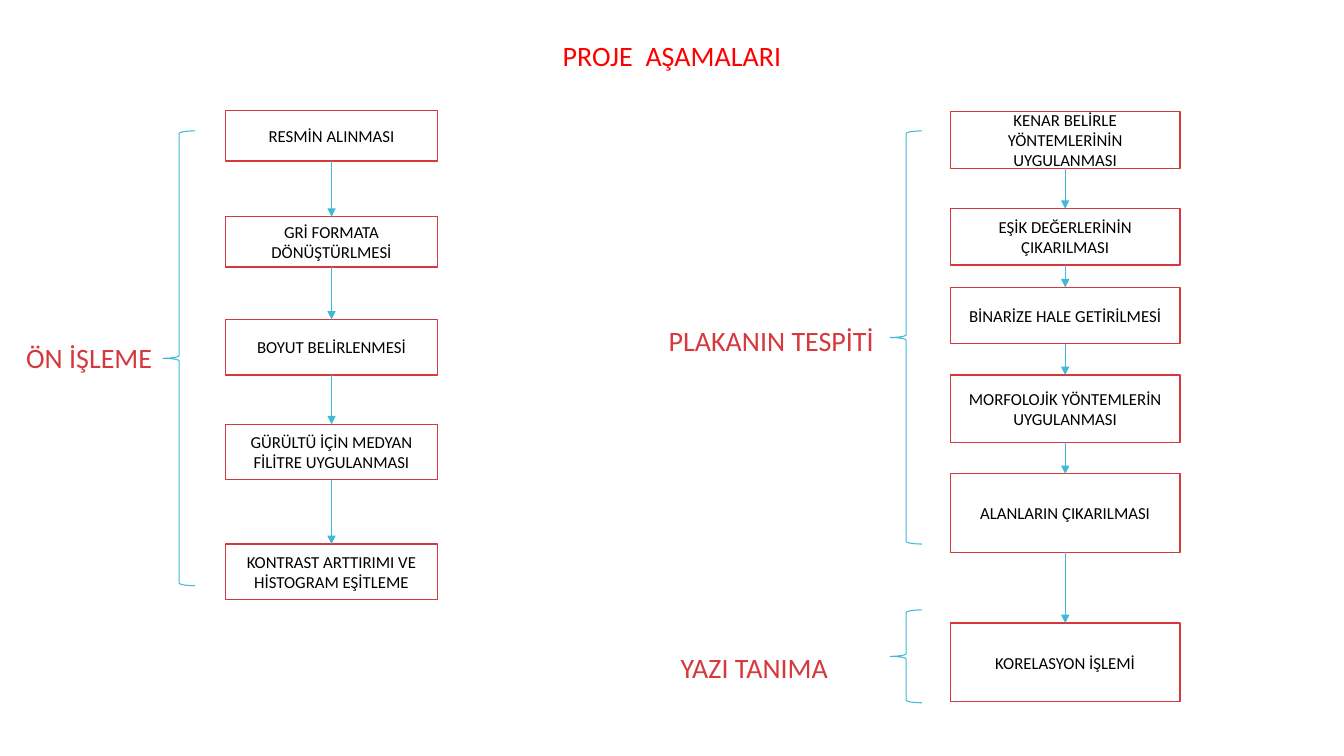
from dataclasses import dataclass
from itertools import pairwise

from lxml.etree import SubElement
from pptx import Presentation
from pptx.dml.color import RGBColor
from pptx.enum.shapes import MSO_CONNECTOR, MSO_SHAPE
from pptx.enum.text import MSO_ANCHOR, MSO_AUTO_SIZE, PP_ALIGN
from pptx.oxml.ns import qn
from pptx.util import Cm, Pt


@dataclass(frozen=True)
class Theme:
    font: str = "Calibri"
    heading_size: int = 20
    step_size: int = 12
    title: RGBColor = RGBColor(0xFF, 0x00, 0x00)
    accent: RGBColor = RGBColor(0xD5, 0x39, 0x3D)
    arrow: RGBColor = RGBColor(0x40, 0xBA, 0xD2)
    text: RGBColor = RGBColor(0x00, 0x00, 0x00)
    paper: RGBColor = RGBColor(0xFF, 0xFF, 0xFF)


THEME = Theme()
SLIDE_WIDTH, SLIDE_HEIGHT = 33.87, 19.05
HEADING_HEIGHT = 1.12
BRACE_WIDTH = 0.81

# Each step: text, distance below the top of its column, height (cm)
PREPROCESSING_STEPS = [
    ("RESMİN ALINMASI", 0, 1.27),
    ("GRİ FORMATA DÖNÜŞTÜRLMESİ", 2.67, 1.27),
    ("BOYUT BELİRLENMESİ", 5.26, 1.4),
    ("GÜRÜLTÜ İÇİN MEDYAN FİLİTRE UYGULANMASI", 7.9, 1.4),
    ("KONTRAST ARTTIRIMI VE HİSTOGRAM EŞİTLEME", 10.92, 1.4),
]
RECOGNITION_STEPS = [
    ("KENAR BELİRLE YÖNTEMLERİNİN UYGULANMASI", 0, 1.42),
    ("EŞİK DEĞERLERİNİN ÇIKARILMASI", 2.44, 1.42),
    ("BİNARİZE HALE GETİRİLMESİ", 4.42, 1.42),
    ("MORFOLOJİK YÖNTEMLERİN UYGULANMASI", 6.63, 1.7),
    ("ALANLARIN ÇIKARILMASI", 9.12, 1.98),
    ("KORELASYON İŞLEMİ", 12.88, 1.98),
]


def write(shape, text, *, size, color, anchor=MSO_ANCHOR.MIDDLE, side_margin=0.25):
    frame = shape.text_frame
    frame.word_wrap = True
    frame.auto_size = MSO_AUTO_SIZE.NONE
    frame.vertical_anchor = anchor
    frame.margin_left = frame.margin_right = Cm(side_margin)
    paragraph = frame.paragraphs[0]
    paragraph.alignment = PP_ALIGN.CENTER
    run = paragraph.add_run()
    run.text = text
    run.font.name = THEME.font
    run.font.size = Pt(size)
    run.font.color.rgb = color


def add_title(slide, text, left, top, width, height):
    title = slide.shapes.title
    title.left, title.top, title.width, title.height = map(Cm, (left, top, width, height))
    write(title, text, size=THEME.heading_size, color=THEME.title, anchor=MSO_ANCHOR.TOP)


def add_step(slide, text, left, top, width, height):
    step = slide.shapes.add_shape(
        MSO_SHAPE.RECTANGLE, *map(Cm, (left, top, width, height)))
    step.shadow.inherit = False
    step.fill.solid()
    step.fill.fore_color.rgb = THEME.paper
    step.line.color.rgb = THEME.accent
    step.line.width = Pt(0.85)
    write(step, text, size=THEME.step_size, color=THEME.text)
    return step


def add_arrow(slide, upper, lower):
    """Join the bottom of one step to the top of the next."""
    arrow = slide.shapes.add_connector(MSO_CONNECTOR.STRAIGHT, 0, 0, 0, 0)
    arrow.begin_connect(upper, 2)
    arrow.end_connect(lower, 0)
    arrow.line.color.rgb = THEME.arrow
    arrow.line.width = Pt(0.75)
    SubElement(arrow.line._get_or_add_ln(), qn("a:tailEnd"), type="triangle")
    SubElement(arrow._element.spPr, qn("a:effectLst"))


def add_flow(slide, steps, left, top, width):
    """Stack the steps in one column and link them from top to bottom."""
    boxes = [add_step(slide, text, left, top + offset, width, height)
             for text, offset, height in steps]
    for upper, lower in pairwise(boxes):
        add_arrow(slide, upper, lower)


def add_stage(slide, name, left, top, height, *, label_center, label_top, label_width):
    """Bracket a group of steps and put the stage name left of the brace."""
    brace = slide.shapes.add_shape(
        MSO_SHAPE.LEFT_BRACE, *map(Cm, (left, top, BRACE_WIDTH, height)))
    brace.shadow.inherit = False
    brace.fill.background()
    brace.line.color.rgb = THEME.arrow
    brace.line.width = Pt(0.75)
    label = slide.shapes.add_textbox(
        Cm(left + label_center - label_width / 2), Cm(top + label_top),
        Cm(label_width), Cm(HEADING_HEIGHT))
    write(label, name, size=THEME.heading_size, color=THEME.accent,
          anchor=MSO_ANCHOR.TOP, side_margin=0)


def main():
    deck = Presentation()
    deck.slide_width, deck.slide_height = Cm(SLIDE_WIDTH), Cm(SLIDE_HEIGHT)
    slide = deck.slides.add_slide(deck.slide_layouts.get_by_name("Title Only"))

    add_title(slide, "PROJE  AŞAMALARI", 0, 0.84, SLIDE_WIDTH, HEADING_HEIGHT)
    add_flow(slide, PREPROCESSING_STEPS, 5.69, 2.79, 5.33)
    add_flow(slide, RECOGNITION_STEPS, 23.95, 2.82, 5.79)
    add_stage(slide, "ÖN İŞLEME", 4.11, 3.3, 11.46,
              label_center=-1.86, label_top=5.16, label_width=3.6)
    add_stage(slide, "PLAKANIN TESPİTİ", 22.43, 3.3, 10.41,
              label_center=-2.99, label_top=4.73, label_width=5.8)
    add_stage(slide, "YAZI TANIMA", 22.43, 15.37, 2.34,
              label_center=-3.42, label_top=0.89, label_width=5.8)

    deck.save("out.pptx")


if __name__ == "__main__":
    main()
